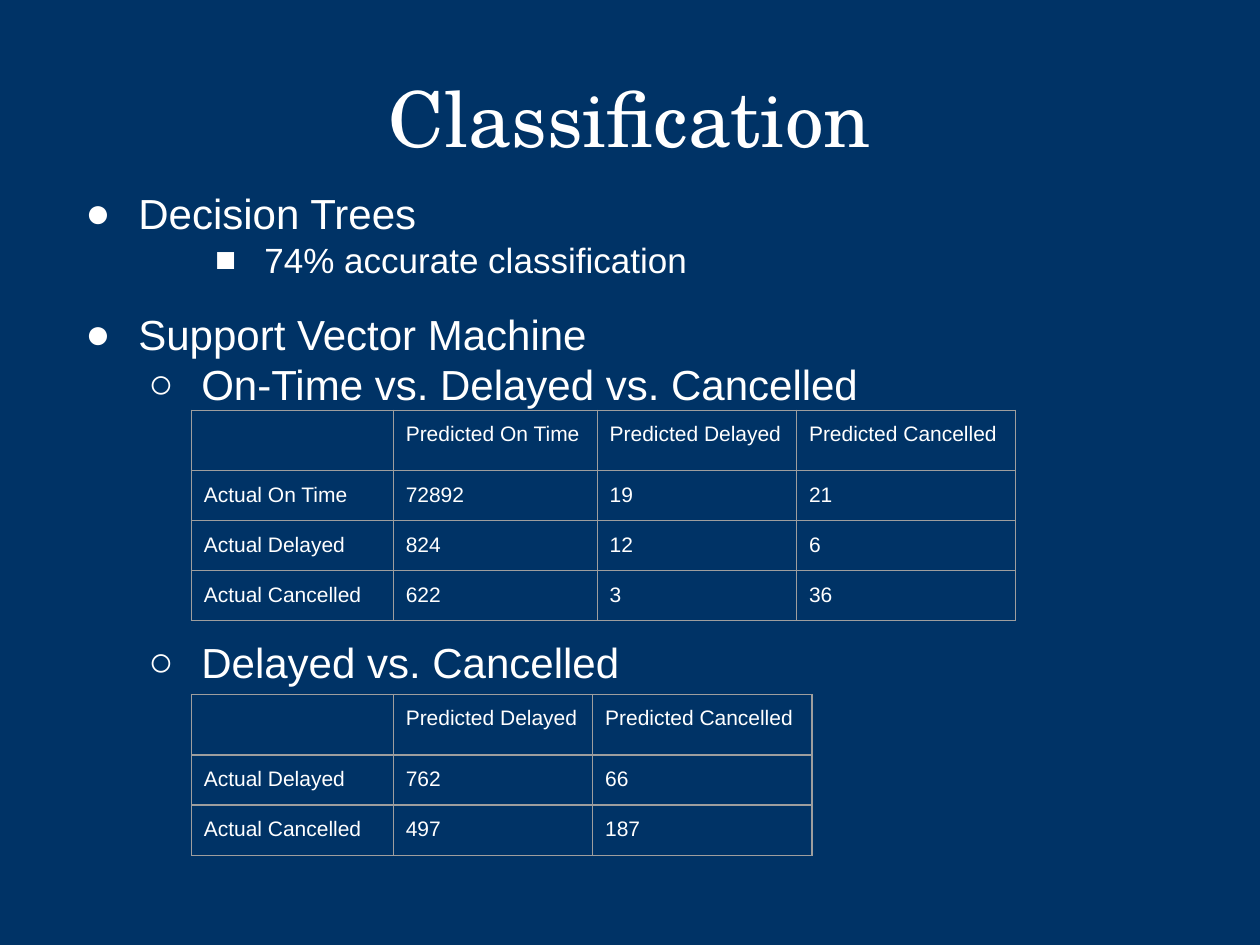
from lxml import etree
from pptx import Presentation
from pptx.dml.color import RGBColor
from pptx.enum import text
from pptx.oxml.ns import qn
from pptx.util import Cm, Pt

COLOURS = {"background": "003366", "text": "FFFFFF", "border": "9E9E9E"}
BODY_FONT, TITLE_FONT = "Arial", "TeX Gyre Schola"
TITLE = "Classification"

# wording, level, space before in points
BULLETS = [
    ("Decision Trees", 0, 0),
    ("74% accurate classification", 2, 0),
    ("Support Vector Machine", 0, 16),
    ("On-Time vs. Delayed vs. Cancelled", 1, 0),
    ("Delayed vs. Cancelled", 1, 130),
]
# bullet sign, text indent in cm, hanging part in cm, text size
LEVELS = [("●", 1.27, 1.07, 24), ("○", 2.54, 1.07, 24), ("■", 3.81, 0.99, 20)]

ON_TIME, DELAYED, CANCELLED = "On Time", "Delayed", "Cancelled"
LABEL_WIDTH = 4.07
CLASS_WIDTHS = {ON_TIME: 4.11, DELAYED: 4.02, CANCELLED: 4.42}
# top in cm, classes, counts by actual class
MATRICES = [
    (8.27, [ON_TIME, DELAYED, CANCELLED],
     [(72892, 19, 21), (824, 12, 6), (622, 3, 36)]),
    (14, [DELAYED, CANCELLED], [(762, 66), (497, 187)]),
]
TABLE_LEFT, HEADER_HEIGHT, ROW_HEIGHT = 3.86, 1.22, 0.98
INSET = Cm(0.25)


def colour(name):
    return RGBColor.from_string(COLOURS[name])


def style(para, size, font):
    para.font.size = Pt(size)
    for span in para.runs:
        span.font.size = Pt(size)
        span.font.name = font
        span.font.color.rgb = colour("text")


def set_insets(holder):
    holder.margin_left = holder.margin_right = INSET
    holder.margin_top = holder.margin_bottom = INSET


def add_text_frame(page, left, top, width, height):
    frame = page.shapes.add_textbox(Cm(left), Cm(top), Cm(width), Cm(height)).text_frame
    frame.word_wrap = True
    set_insets(frame)
    return frame


def set_bullet(para, sign, indent, hanging):
    properties = para._p.get_or_add_pPr()
    properties.set("marL", str(Cm(indent)))
    properties.set("indent", str(-Cm(hanging)))
    bullet_colour = etree.SubElement(properties, qn("a:buClr"))
    etree.SubElement(bullet_colour, qn("a:srgbClr"), val=COLOURS["text"])
    etree.SubElement(properties, qn("a:buFont"), typeface=BODY_FONT)
    etree.SubElement(properties, qn("a:buChar"), char=sign)


def set_borders(cell):
    properties = cell._tc.get_or_add_tcPr()
    for position, side in enumerate(("a:lnL", "a:lnR", "a:lnT", "a:lnB")):
        line = etree.Element(qn(side), w=str(Pt(0.75)))
        fill = etree.SubElement(line, qn("a:solidFill"))
        etree.SubElement(fill, qn("a:srgbClr"), val=COLOURS["border"])
        properties.insert(position, line)


def add_matrix(page, top, classes, counts):
    """Add a confusion matrix with actual classes down and predicted ones across."""
    rows = [[""] + [f"Predicted {name}" for name in classes]]
    rows += [[f"Actual {name}", *values] for name, values in zip(classes, counts)]
    widths = [LABEL_WIDTH] + [CLASS_WIDTHS[name] for name in classes]
    heights = [HEADER_HEIGHT] + [ROW_HEIGHT] * len(classes)
    table = page.shapes.add_table(
        len(rows), len(widths), Cm(TABLE_LEFT), Cm(top),
        Cm(sum(widths)), Cm(sum(heights))).table
    table.first_row = table.horz_banding = False
    for column, width in zip(table.columns, widths):
        column.width = Cm(width)
    for row, height, values in zip(table.rows, heights, rows):
        row.height = Cm(height)
        for cell, value in zip(row.cells, values):
            cell.text_frame.text = str(value)
            style(cell.text_frame.paragraphs[0], 12, BODY_FONT)
            set_insets(cell)
            cell.fill.background()
            set_borders(cell)


def main():
    deck = Presentation()
    deck.slide_width, deck.slide_height = Cm(25.4), Cm(19.05)
    page = deck.slides.add_slide(deck.slide_layouts[6])
    page.background.fill.solid()
    page.background.fill.fore_color.rgb = colour("background")

    title = add_text_frame(page, 1.27, 0.76, 22.86, 3.18)
    title.text = TITLE
    title.vertical_anchor = text.MSO_ANCHOR.MIDDLE
    title.paragraphs[0].alignment = text.PP_ALIGN.CENTER
    style(title.paragraphs[0], 44, TITLE_FONT)

    body = add_text_frame(page, 1.27, 3.54, 22.86, 12.3)
    body.text = "\n".join(wording for wording, _, _ in BULLETS)
    for para, (_, level, gap) in zip(body.paragraphs, BULLETS):
        sign, indent, hanging, size = LEVELS[level]
        para.level = level
        para.space_before = Pt(gap)
        set_bullet(para, sign, indent, hanging)
        style(para, size, BODY_FONT)

    for matrix in MATRICES:
        add_matrix(page, *matrix)
    deck.save("out.pptx")


if __name__ == "__main__":
    main()
